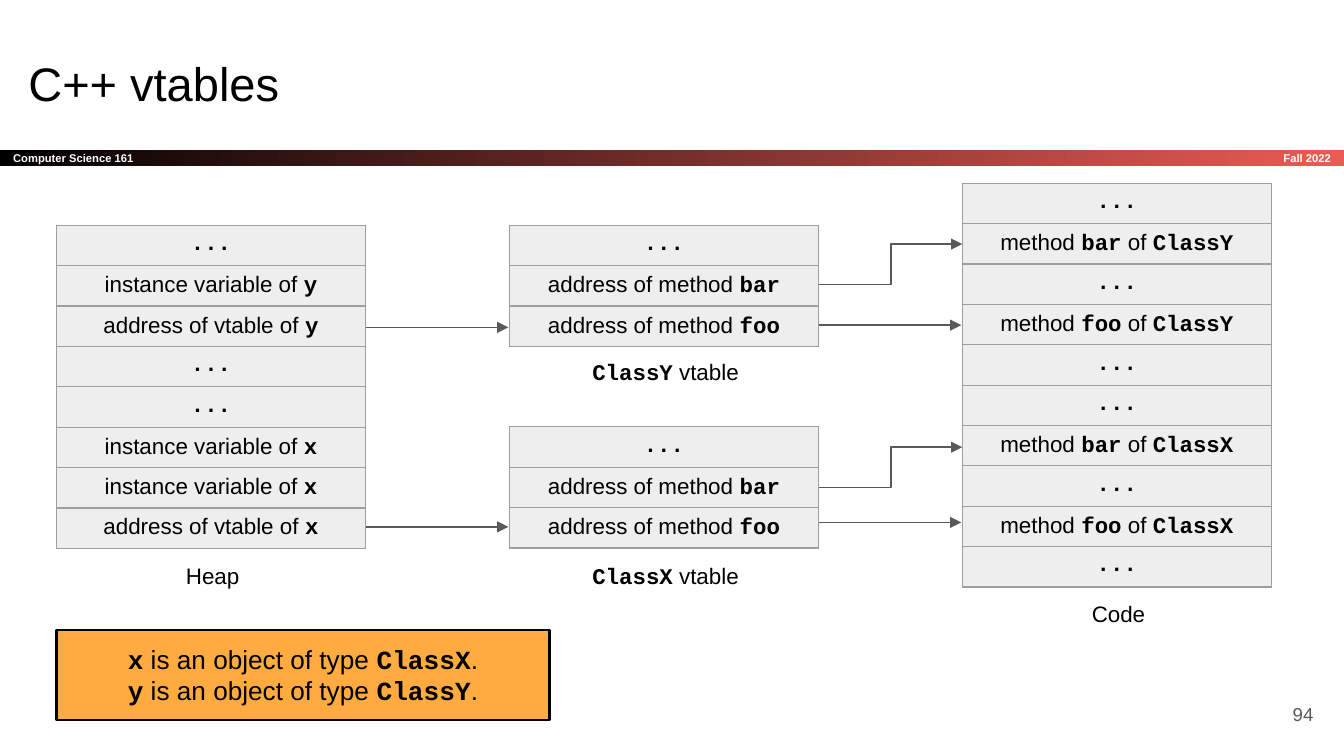
from pptx import Presentation
from pptx.dml.color import RGBColor
from pptx.enum.shapes import MSO_CONNECTOR as Connector, MSO_SHAPE as Shape
from pptx.enum.text import MSO_ANCHOR as Anchor, MSO_AUTO_SIZE as AutoSize, PP_ALIGN as Align
from pptx.oxml import parse_xml
from pptx.oxml.ns import nsdecls
from pptx.util import Pt

BLACK = RGBColor(0x00, 0x00, 0x00)
WHITE = RGBColor(0xFF, 0xFF, 0xFF)
RED = RGBColor(0xE8, 0x5C, 0x54)
ORANGE = RGBColor(0xFF, 0xAB, 0x40)
CELL_GRAY = RGBColor(0xEE, 0xEE, 0xEE)
BORDER_GRAY = RGBColor(0x9E, 0x9E, 0x9E)
DARK_GRAY = RGBColor(0x59, 0x59, 0x59)

COLUMN_WIDTH = 165.6
ROW_HEIGHT = 21.6
HEAP_LEFT, VTABLE_LEFT, CODE_LEFT = [30.25 + 242.65 * column for column in range(3)]
VTABLE_RIGHT = VTABLE_LEFT + COLUMN_WIDTH
VTABLE_ROWS = ["`...`", "address of method `bar`", "address of method `foo`"]


def write_text(frame, text, size=12, color=BLACK, bold=False, align=Align.LEFT,
               anchor=Anchor.TOP, margin=7.2, left_margin=None):
    frame.word_wrap = True
    frame.vertical_anchor = anchor
    frame.margin_left = Pt(margin if left_margin is None else left_margin)
    frame.margin_top = frame.margin_right = frame.margin_bottom = Pt(margin)
    for index, line in enumerate(text.split("\n")):
        paragraph = frame.add_paragraph() if index else frame.paragraphs[0]
        paragraph.alignment = align
        for position, part in enumerate(line.split("`")):
            if not part:
                continue
            is_code = position % 2 == 1
            run = paragraph.add_run()
            run.text = part
            run.font.name = "Courier New" if is_code else "Arial"
            run.font.size = Pt(size)
            run.font.bold = bold or is_code
            run.font.color.rgb = color


def add_label(slide, text, left, top, width, height, **text_format):
    box = slide.shapes.add_textbox(Pt(left), Pt(top), Pt(width), Pt(height))
    write_text(box.text_frame, text, **text_format)


def add_caption(slide, text, left, top):
    add_label(slide, text, left, top, COLUMN_WIDTH, 28.8, align=Align.CENTER, left_margin=8.9)


def add_rectangle(slide, left, top, width, height):
    shape = slide.shapes.add_shape(Shape.RECTANGLE, Pt(left), Pt(top), Pt(width), Pt(height))
    shape.shadow.inherit = False
    return shape


def add_header_bar(slide):
    bar = add_rectangle(slide, 0, 80.2, 720, 8.7)
    bar.line.fill.background()
    bar.fill.gradient()
    bar.fill.gradient_angle = 0
    for stop, color, position in zip(bar.fill.gradient_stops, (BLACK, RED), (0, 1)):
        stop.color.rgb = color
        stop.position = position
    header_format = dict(size=6, color=WHITE, bold=True, anchor=Anchor.MIDDLE)
    write_text(bar.text_frame, "Computer Science 161", **header_format)
    add_label(slide, "Fall 2022", 600.5, 80.2, 119.5, 8.7, align=Align.RIGHT, **header_format)


def add_title(slide, text):
    title = slide.shapes.title
    title.left, title.top, title.width, title.height = Pt(8), Pt(21.6), Pt(671), Pt(45.4)
    write_text(title.text_frame, text, size=25.2, anchor=Anchor.MIDDLE)
    title.text_frame.auto_size = AutoSize.NONE


def add_callout(slide, text):
    callout = add_rectangle(slide, HEAP_LEFT, 337.5, 264.2, 48.3)
    callout.fill.solid()
    callout.fill.fore_color.rgb = ORANGE
    callout.line.color.rgb = BLACK
    callout.line.width = Pt(1.5)
    write_text(callout.text_frame, text, size=14, align=Align.CENTER)


def add_borders(cell):
    properties = cell._tc.get_or_add_tcPr()
    for side in "LRTB":
        properties.append(parse_xml(
            f'<a:ln{side} {nsdecls("a")} w="{Pt(0.75)}"><a:solidFill>'
            f'<a:srgbClr val="{BORDER_GRAY}"/></a:solidFill></a:ln{side}>'))


def add_memory_table(slide, rows, left, top):
    frame = slide.shapes.add_table(len(rows), 1, Pt(left), Pt(top), Pt(COLUMN_WIDTH),
                                   Pt(ROW_HEIGHT * len(rows)))
    table = frame.table
    table.first_row = table.horz_banding = False
    for index, text in enumerate(rows):
        table.rows[index].height = Pt(ROW_HEIGHT)
        cell = table.cell(index, 0)
        add_borders(cell)
        cell.fill.solid()
        cell.fill.fore_color.rgb = CELL_GRAY
        cell.margin_left = cell.margin_right = Pt(3.6)
        cell.margin_top = cell.margin_bottom = Pt(3.6)
        write_text(cell.text_frame, text, align=Align.CENTER, margin=3.6)


def add_arrow(slide, left, start_y, end_y, kind=Connector.STRAIGHT):
    arrow = slide.shapes.add_connector(kind, Pt(left), Pt(start_y), Pt(left + 76.5), Pt(end_y))
    arrow.line.color.rgb = DARK_GRAY
    arrow.line.width = Pt(0.75)
    arrow.line._get_or_add_ln().append(parse_xml(f'<a:tailEnd {nsdecls("a")} type="triangle"/>'))
    arrow._element.spPr.append(parse_xml(f'<a:effectLst {nsdecls("a")}/>'))


def main():
    presentation = Presentation()
    presentation.slide_width, presentation.slide_height = Pt(720), Pt(405)
    slide = presentation.slides.add_slide(presentation.slide_layouts[5])

    add_header_bar(slide)
    add_title(slide, "C++ vtables")
    add_label(slide, "94", 667.5, 367.2, 43.2, 31, size=10, color=DARK_GRAY,
              align=Align.RIGHT, anchor=Anchor.MIDDLE)
    add_callout(slide, "`x` is an object of type `ClassX`.\n`y` is an object of type `ClassY`.")

    heap_rows = ["`...`", "instance variable of `y`", "address of vtable of `y`", "`...`", "`...`",
                 "instance variable of `x`", "instance variable of `x`", "address of vtable of `x`"]
    add_memory_table(slide, heap_rows, HEAP_LEFT, 120.7)
    add_caption(slide, "Heap", HEAP_LEFT, 293.8)

    for name, top, caption_top in (("ClassY", 120.7, 184.6), ("ClassX", 228.7, 293.8)):
        add_memory_table(slide, VTABLE_ROWS, VTABLE_LEFT, top)
        add_caption(slide, f"`{name}` vtable", VTABLE_LEFT, caption_top)

    code_rows = []
    for name in ("ClassY", "ClassX"):
        code_rows += ["`...`", f"method `bar` of `{name}`", "`...`",
                      f"method `foo` of `{name}`", "`...`"]
    add_memory_table(slide, code_rows, CODE_LEFT, 98.2)
    add_caption(slide, "Code", CODE_LEFT, 314.3)

    for y in (175.4, 282.3):
        add_arrow(slide, HEAP_LEFT + COLUMN_WIDTH, y, y)
    for y in (174.2, 279.9):
        add_arrow(slide, VTABLE_RIGHT, y, y)
    for start_y, end_y in ((152.4, 130.8), (261.2, 239.6)):
        add_arrow(slide, VTABLE_RIGHT + 0.5, start_y, end_y, Connector.ELBOW)

    presentation.save("out.pptx")


if __name__ == "__main__":
    main()
